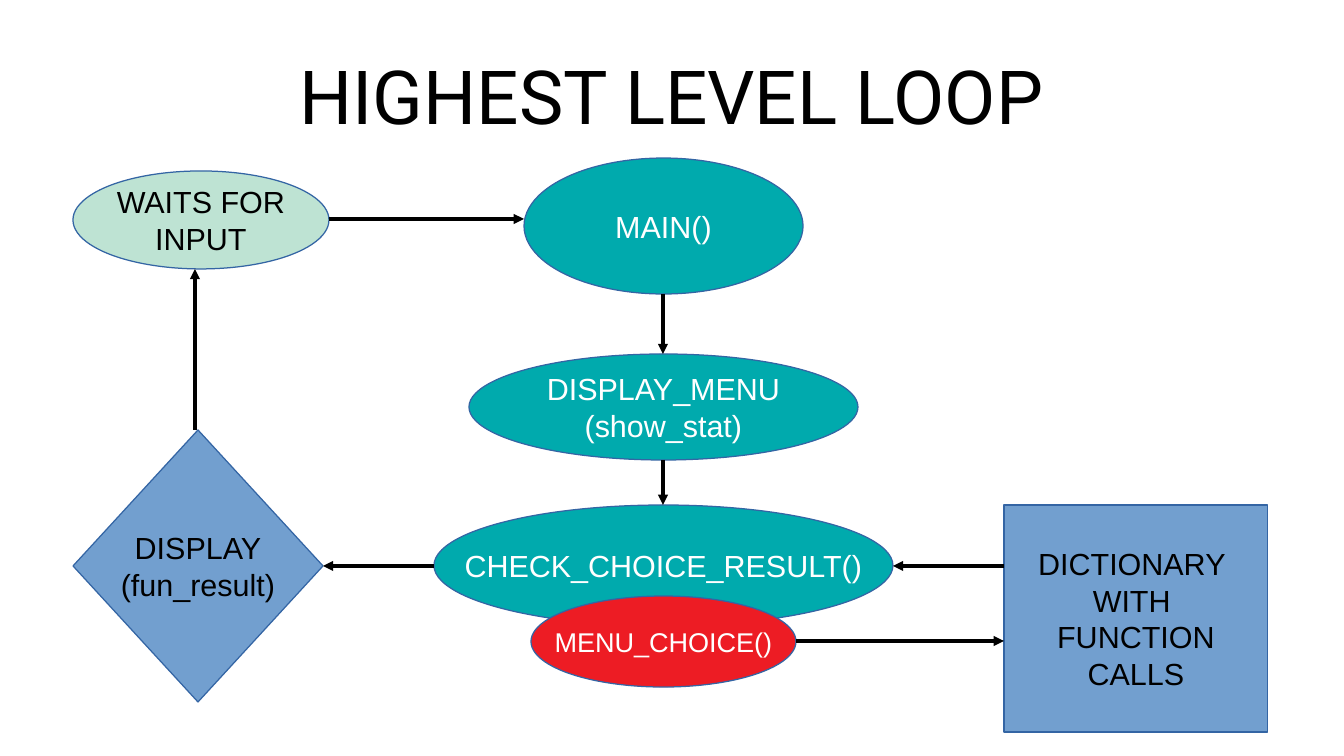
from pptx import Presentation, util as u
from pptx.dml.color import RGBColor
from pptx.enum import shapes, text
from pptx.oxml.ns import qn
from lxml import etree

PX = 914400 / 122
HUES = {"teal": "00AAAD", "blue": "729FCF", "red": "ED1C24", "mint": "BEE3D3",
        "edge": "3465A4", "black": "000000", "white": "FFFFFF"}
KIND = shapes.MSO_SHAPE
NODES = {
    "main": (KIND.OVAL, (524, 158, 279, 136), "teal", "white", 18, ["MAIN()"]),
    "menu": (KIND.OVAL, (469, 354, 389, 106), "teal", "white", 18,
             ["DISPLAY_MENU", "(show_stat)"]),
    "check": (KIND.OVAL, (434, 505, 459, 121), "teal", "white", 18,
              ["CHECK_CHOICE_RESULT()"]),
    "calls": (KIND.RECTANGLE, (1004, 505, 264, 227), "blue", "black", 18,
              ["DICTIONARY ", "WITH ", "FUNCTION", "CALLS"]),
    "choice": (KIND.OVAL, (531, 596, 265, 91), "red", "white", 16, ["MENU_CHOICE()"]),
    "show": (KIND.DIAMOND, (73, 430, 250, 272), "blue", "black", 18,
             ["DISPLAY", "(fun_result)"]),
    "wait": (KIND.OVAL, (73, 171, 256, 98), "mint", "black", 18, ["WAITS FOR", "INPUT"]),
}
LINKS = [("main", "menu", "down", 663), ("menu", "check", "down", 663),
         ("choice", "calls", "right", 641), ("calls", "check", "left", 566),
         ("check", "show", "left", 566), ("show", "wait", "up", 195),
         ("wait", "main", "right", 219)]


def emu(*nums):
    """Turn pixel lengths into EMU."""
    return [u.Emu(round(n * PX)) for n in nums]


def hue(name):
    """Look up a colour by name."""
    return RGBColor.from_string(HUES[name])


def write(frame, lines, face, size, color):
    """Fill a frame with centred lines of text."""
    frame.vertical_anchor = text.MSO_ANCHOR.MIDDLE
    for i, line in enumerate(lines):
        para = frame.add_paragraph() if i else frame.paragraphs[0]
        para.text = line
        para.alignment = text.PP_ALIGN.CENTER
        para.font.name, para.font.size = face, u.Pt(size)
        para.font.color.rgb = hue(color)


def title(slide, box):
    """Place the heading in its box."""
    frame = slide.shapes.add_textbox(*emu(*box)).text_frame
    frame.word_wrap = True
    frame.margin_left = frame.margin_right = frame.margin_top = frame.margin_bottom = 0
    write(frame, ["HIGHEST LEVEL LOOP"], "Roboto", 44, "black")


def node(slide, kind, box, fill, ink, size, lines):
    """Draw one step of the loop."""
    shape = slide.shapes.add_shape(kind, *emu(*box))
    shape.shadow.inherit = False
    shape.fill.solid()
    shape.fill.fore_color.rgb = hue(fill)
    shape.line.color.rgb = hue("edge")
    shape.line.width = u.Pt(0)
    shape.text_frame.word_wrap = False
    write(shape.text_frame, lines, "Arial", size, ink)


def arrow(slide, start, end, way, pos):
    """Join the facing edges of two boxes along one line."""
    axis = 1 if way in ("up", "down") else 0
    ahead = way in ("down", "right")
    tail = start[axis] + (start[axis + 2] if ahead else 0)
    head = end[axis] + (0 if ahead else end[axis + 2])
    ends = (pos, tail, pos, head) if axis else (tail, pos, head, pos)
    line = slide.shapes.add_connector(shapes.MSO_CONNECTOR.STRAIGHT, *emu(*ends))
    line.line.color.rgb = hue("black")
    line.line.width = u.Pt(0)
    etree.SubElement(line.line._get_or_add_ln(), qn("a:tailEnd"), type="triangle")
    etree.SubElement(line._element.spPr, qn("a:effectLst"))


def loop(slide, left, top):
    """Draw the whole flow from a top left corner."""
    boxes = {}
    for name, (kind, (x, y, w, h), *rest) in NODES.items():
        boxes[name] = (left + x, top + y, w, h)
        node(slide, kind, boxes[name], *rest)
    for a, b, way, pos in LINKS:
        shift = left if way in ("up", "down") else top
        arrow(slide, boxes[a], boxes[b], way, pos + shift)


def main():
    """Build and save the slide."""
    deck = Presentation()
    deck.slide_width, deck.slide_height = emu(1344, 756)
    slide = deck.slides.add_slide(deck.slide_layouts[6])
    title(slide, (67, 31, 1210, 127))
    loop(slide, 0, 0)
    deck.save("out.pptx")


if __name__ == "__main__":
    main()
